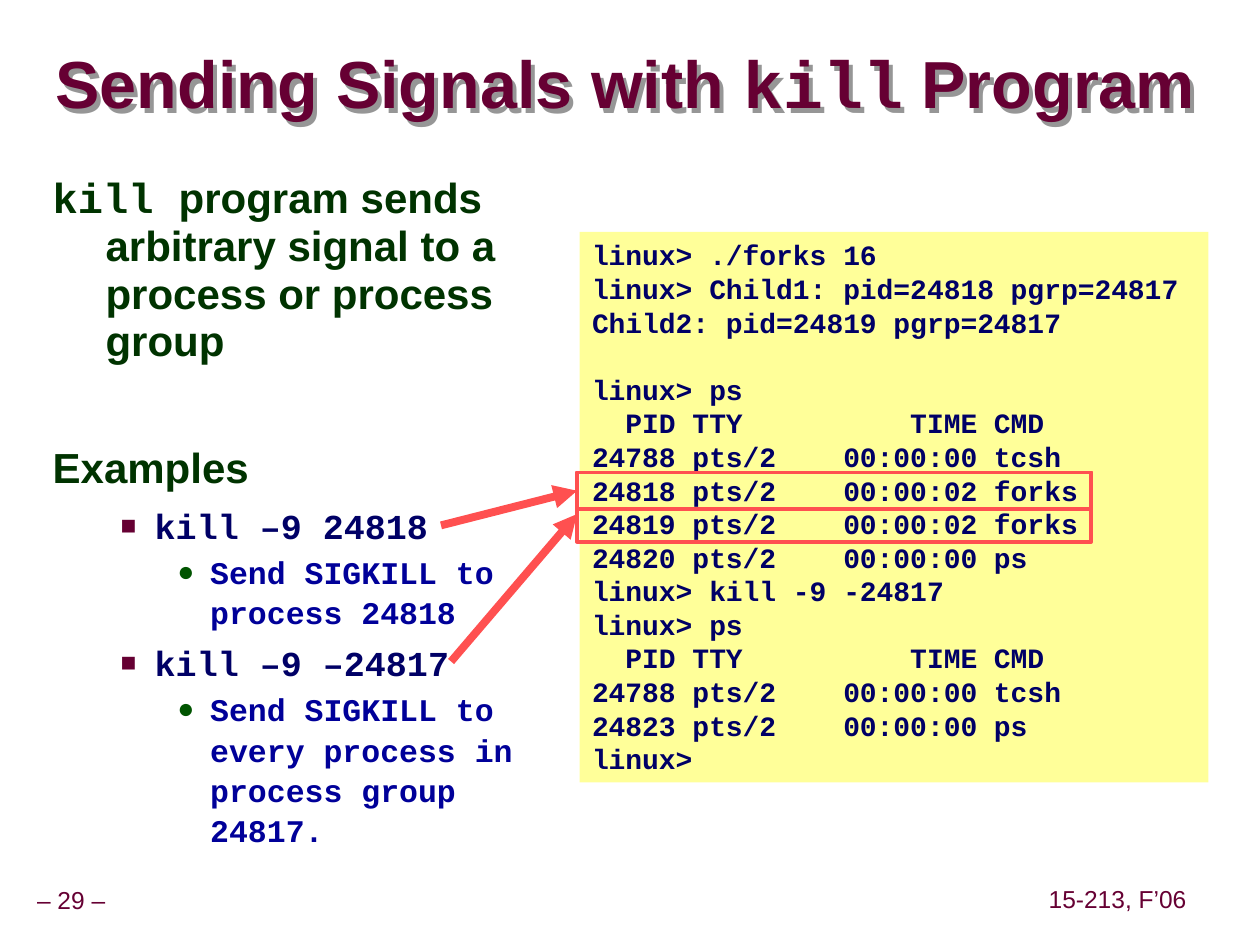
"""Build the slide on sending signals with the kill program."""
from lxml import etree
from pptx import Presentation
from pptx.dml.color import RGBColor
from pptx.enum.shapes import MSO_CONNECTOR as CONN, MSO_SHAPE as SHAPE
from pptx.enum.text import MSO_ANCHOR as ANCHOR, PP_ALIGN as ALIGN
from pptx.oxml import parse_xml
from pptx.oxml.ns import nsdecls, qn
from pptx.util import Inches, Pt

SANS, MONO = "Arial", "Courier New"
MAROON, GREEN, NAVY, BLUE, RED = "660033", "003300", "000066", "000099", "FF5050"


def rgb(color):
    return RGBColor.from_string(color)


def add_run(p, text, size, font, color, bold=True):
    r = p.add_run()
    r.text = text
    r.font.size, r.font.name, r.font.bold = Pt(size), font, bold
    r.font.color.rgb = rgb(color)


prs = Presentation()
prs.slide_width, prs.slide_height = Inches(10), Inches(7.5)
s = prs.slides.add_slide(prs.slide_layouts[5])

for text, left, top, width in [("– 29 –", -0.09, 7, 1.31), ("15-213, F’06", 8.27, 6.99, 1.2)]:
    sp = s.shapes.add_textbox(Inches(left), Inches(top), Inches(width), Inches(0.31))
    tf = sp.text_frame
    tf.word_wrap = True
    tf.vertical_anchor = ANCHOR.MIDDLE
    tf.margin_left = tf.margin_right = tf.margin_top = tf.margin_bottom = Inches(0.05)
    p = tf.paragraphs[0]
    p.alignment = ALIGN.CENTER
    p.line_spacing = 0.9
    add_run(p, text, 14, SANS, MAROON, False)

title = s.shapes.title
title.left, title.top, title.width, title.height = map(Inches, (0.44, 0.27, 9.53, 0.85))
title._element.spPr.append(parse_xml(
    f'<a:effectLst {nsdecls("a")}><a:outerShdw dist="45000" dir="3000000" algn="ctr" rotWithShape="0">'
    '<a:srgbClr val="969696"/></a:outerShdw></a:effectLst>'))
tf = title.text_frame
tf.word_wrap = True
tf.vertical_anchor = ANCHOR.MIDDLE
tf.margin_left = tf.margin_right = tf.margin_top = tf.margin_bottom = 0
p = tf.paragraphs[0]
p.alignment = ALIGN.LEFT
p.line_spacing = 0.87
for text, font in [("Sending Signals with ", SANS), ("kill", MONO), (" Program", SANS)]:
    add_run(p, text, 38, font, MAROON)

LEVELS = [
    dict(left=0.42, indent=-0.42, spacing=0.95, before=15, bullet=None),
    dict(left=0.81, indent=-0.27, spacing=1, before=6.2, bullet=("■", MAROON, 75)),
    dict(left=1.25, indent=-0.26, spacing=1.07, before=2.2, bullet=("●", "005400", 90)),
]
BODY = [
    (0, [("kill ", 24, MONO, GREEN),
         ("program sends arbitrary signal to a process or process group", 24, SANS, GREEN)]),
    (0, [("Examples", 24, SANS, GREEN)]),
    (1, [("kill –9 24818", 20, MONO, NAVY)]),
    (2, [("Send SIGKILL to process 24818", 18, MONO, BLUE)]),
    (1, [("kill –9 –24817", 20, MONO, NAVY)]),
    (2, [("Send SIGKILL to every process in process group 24817.", 18, MONO, BLUE)]),
]
tf = s.shapes.add_textbox(Inches(0.32), Inches(1.34), Inches(4.27), Inches(5.71)).text_frame
tf.word_wrap = True
for i, (level, runs) in enumerate(BODY):
    p = tf.add_paragraph() if i else tf.paragraphs[0]
    style = LEVELS[level]
    p.level = level
    p.line_spacing = float(style["spacing"])
    p.space_before = Pt(style["before"] if i else 0)
    pPr = p._p.get_or_add_pPr()
    pPr.set("marL", str(Inches(style["left"])))
    pPr.set("indent", str(Inches(style["indent"])))
    if style["bullet"]:
        char, color, percent = style["bullet"]
        clr = etree.SubElement(pPr, qn("a:buClr"))
        etree.SubElement(clr, qn("a:srgbClr"), val=color)
        etree.SubElement(pPr, qn("a:buSzPct"), val=str(percent * 1000))
        etree.SubElement(pPr, qn("a:buFont"), typeface=SANS)
        etree.SubElement(pPr, qn("a:buChar"), char=char)
    for run in runs:
        add_run(p, *run)
tf.paragraphs[1].space_before = Pt(45)

SESSION = """linux> ./forks 16
linux> Child1: pid=24818 pgrp=24817
Child2: pid=24819 pgrp=24817
 
linux> ps
  PID TTY          TIME CMD
24788 pts/2    00:00:00 tcsh
24818 pts/2    00:00:02 forks
24819 pts/2    00:00:02 forks
24820 pts/2    00:00:00 ps
linux> kill -9 -24817
linux> ps
  PID TTY          TIME CMD
24788 pts/2    00:00:00 tcsh
24823 pts/2    00:00:00 ps
linux>"""
sp = s.shapes.add_shape(SHAPE.RECTANGLE, Inches(4.6), Inches(1.84), Inches(4.99), Inches(4.37))
sp.shadow.inherit = False
sp.fill.solid()
sp.fill.fore_color.rgb = rgb("FFFF99")
sp.line.fill.background()
tf = sp.text_frame
tf.word_wrap = True
tf.vertical_anchor = ANCHOR.TOP
for i, line in enumerate(SESSION.split("\n")):
    p = tf.add_paragraph() if i else tf.paragraphs[0]
    p.alignment = ALIGN.LEFT
    add_run(p, line, 16, MONO, NAVY)

for height, x, y, tip, joined in [(0.29, 3.5, 4.17, 3.92, True), (0.55, 3.58, 5.25, 4.08, False)]:
    box = s.shapes.add_shape(SHAPE.RECTANGLE, Inches(4.58), Inches(3.75), Inches(4.08), Inches(height))
    box.shadow.inherit = False
    box.fill.background()
    arrow = s.shapes.add_connector(CONN.STRAIGHT, Inches(x), Inches(y), Inches(4.58), Inches(tip))
    if joined:
        arrow.end_connect(box, 1)
    for sp, width in [(box, 2.25), (arrow, 4.5)]:
        sp.line.color.rgb = rgb(RED)
        sp.line.width = Pt(width)
    etree.SubElement(arrow.line._get_or_add_ln(), qn("a:tailEnd"), type="triangle")
    etree.SubElement(arrow._element.spPr, qn("a:effectLst"))

prs.save("out.pptx")
